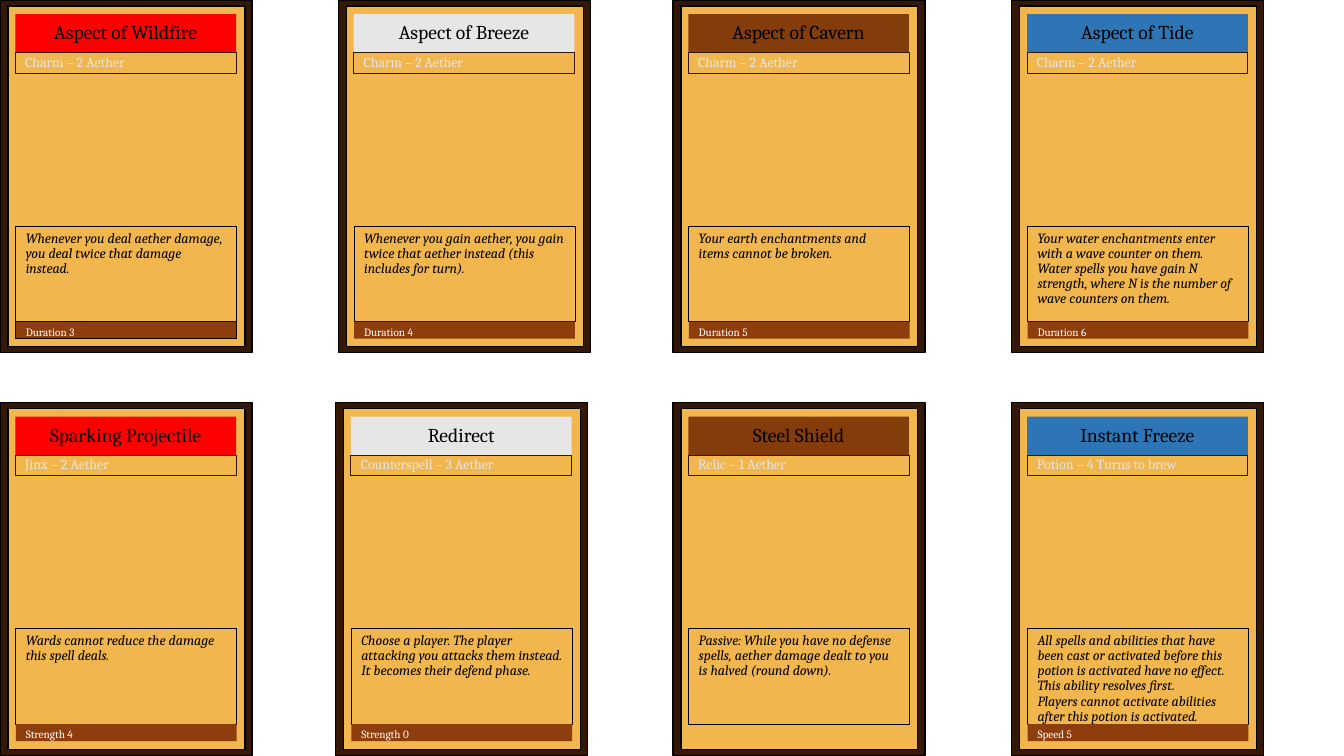
from collections import namedtuple

from pptx import Presentation
from pptx.dml.color import RGBColor
from pptx.enum.shapes import MSO_SHAPE
from pptx.enum.text import MSO_ANCHOR, PP_ALIGN
from pptx.util import Pt

COLORS = {
    "frame": "351705",
    "parchment": "F1B64D",
    "footer": "8E3E0C",
    "fire": "FF0000",
    "air": "E7E6E6",
    "earth": "843C0B",
    "water": "2E75B6",
    "pale": "E7E6E6",
    "black": "000000",
    "white": "FFFFFF",
}
FONT = "Cambria"
CARD_WIDTH, CARD_HEIGHT = 180, 252
PANEL_WIDTH = 157.7
LOWER_ROW = 287.5

Card = namedtuple("Card", "left top element name kind rules footer footer_line",
                  defaults=(None, None))
CARDS = [
    Card(0, 0, "fire", "Aspect of Wildfire", "Charm – 2 Aether",
         ["Whenever you deal aether damage, you deal twice that damage instead."],
         "Duration 3", "black"),
    Card(241.7, 0, "air", "Aspect of Breeze", "Charm – 2 Aether",
         ["Whenever you gain aether, you gain twice that aether instead "
          "(this includes for turn)."],
         "Duration 4"),
    Card(480.7, 0, "earth", "Aspect of Cavern", "Charm – 2 Aether",
         ["Your earth enchantments and items cannot be broken."],
         "Duration 5"),
    Card(722.7, 0, "water", "Aspect of Tide", "Charm – 2 Aether",
         ["Your water enchantments enter with a wave counter on them.",
          "Water spells you have gain N strength, where N is the number of "
          "wave counters on them."],
         "Duration 6"),
    Card(0, LOWER_ROW, "fire", "Sparking Projectile", "Jinx – 2 Aether",
         ["Wards cannot reduce the damage this spell deals."],
         "Strength 4"),
    Card(239.7, LOWER_ROW, "air", "Redirect", "Counterspell – 3 Aether",
         ["Choose a player. The player attacking you attacks them instead. "
          "It becomes their defend phase."],
         "Strength 0"),
    Card(480.7, LOWER_ROW, "earth", "Steel Shield", "Relic – 1 Aether",
         ["Passive: While you have no defense spells, aether damage dealt to "
          "you is halved (round down)."]),
    Card(722.7, LOWER_ROW, "water", "Instant Freeze", "Potion – 4 Turns to brew",
         ["All spells and abilities that have been cast or activated before "
          "this potion is activated have no effect. This ability resolves first.",
          "Players cannot activate abilities after this potion is activated."],
         "Speed 5"),
]


def color(name):
    return RGBColor.from_string(COLORS[name])


def add_box(slide, left, top, width, height, fill=None, line=None, line_width=0.5):
    box = slide.shapes.add_shape(MSO_SHAPE.RECTANGLE,
                                 Pt(left), Pt(top), Pt(width), Pt(height))
    box.shadow.inherit = False
    if fill:
        box.fill.solid()
        box.fill.fore_color.rgb = color(fill)
    else:
        box.fill.background()
    if line:
        box.line.color.rgb = color(line)
        box.line.width = Pt(line_width)
    else:
        box.line.fill.background()
    return box


def write(box, paragraphs, size, ink="black", italic=False,
          align=PP_ALIGN.LEFT, anchor=MSO_ANCHOR.TOP):
    frame = box.text_frame
    frame.word_wrap = True
    frame.vertical_anchor = anchor
    for index, text in enumerate(paragraphs):
        para = frame.add_paragraph() if index else frame.paragraphs[0]
        para.alignment = align
        para.line_spacing = 0.9
        span = para.add_run()
        span.text = text
        span.font.name = FONT
        span.font.size = Pt(size)
        span.font.italic = italic
        span.font.color.rgb = color(ink)


def add_frame(slide, card):
    add_box(slide, card.left, card.top, CARD_WIDTH, CARD_HEIGHT,
            "frame", "black", 1)
    add_box(slide, card.left + 5.7, card.top + 4.3, 169.2, 243.4,
            "parchment", "black", 1)


def add_panels(slide, card):
    left, top = card.left + 10.9, card.top
    title = add_box(slide, left, top + 10.2, PANEL_WIDTH, 27.2, card.element)
    write(title, [card.name], 14, align=PP_ALIGN.CENTER, anchor=MSO_ANCHOR.MIDDLE)

    kind = add_box(slide, left, top + 37.4, PANEL_WIDTH, 15, line="frame")
    write(kind, [card.kind], 10, ink="pale", anchor=MSO_ANCHOR.MIDDLE)

    rules = add_box(slide, left + 0.4, top + 161.4, PANEL_WIDTH, 68.4,
                    "parchment", "black")
    write(rules, card.rules, 10, italic=True)

    if card.footer:
        footer = add_box(slide, left + 0.4, top + 229.8, PANEL_WIDTH, 12.2,
                         "footer", card.footer_line)
        write(footer, [card.footer], 8, ink="white")


def main():
    deck = Presentation()
    deck.slide_width, deck.slide_height = Pt(960), Pt(540)
    slide = deck.slides.add_slide(deck.slide_layouts[6])
    for card in CARDS:
        add_frame(slide, card)
        add_panels(slide, card)
    deck.save("out.pptx")


if __name__ == "__main__":
    main()
